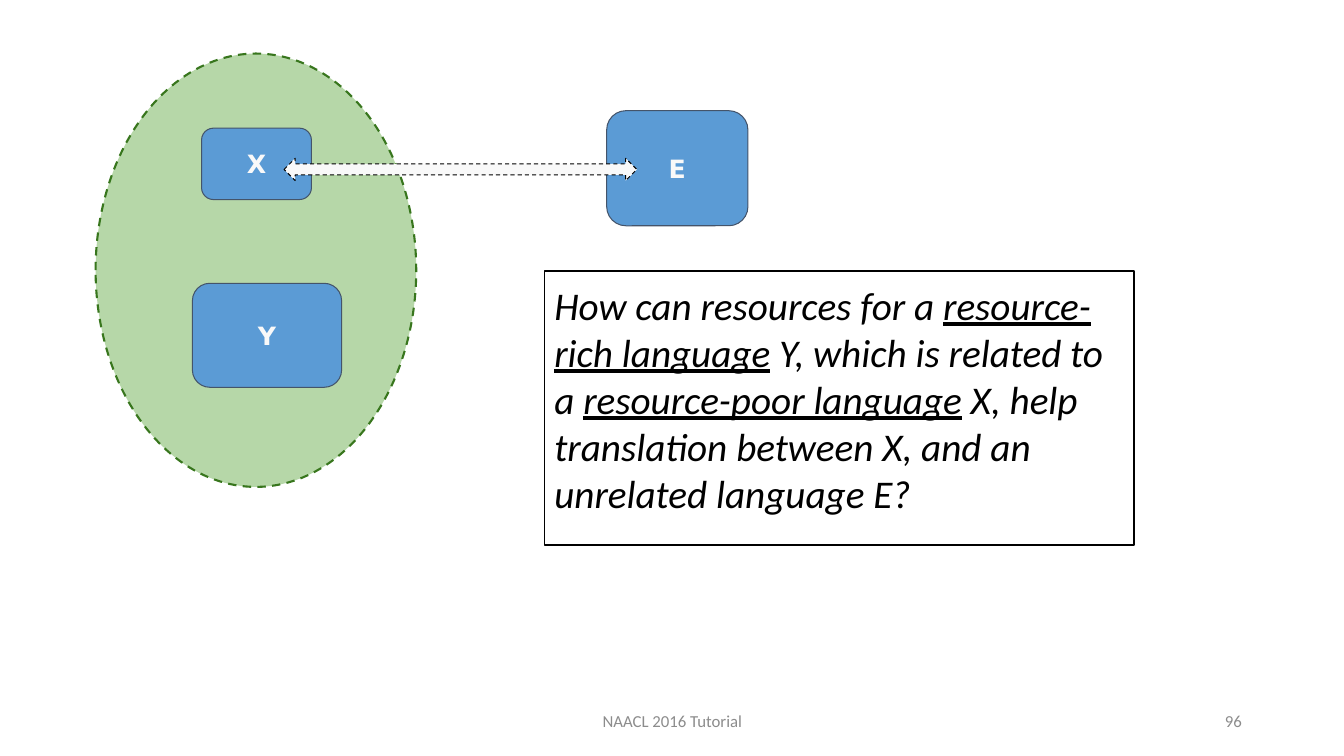
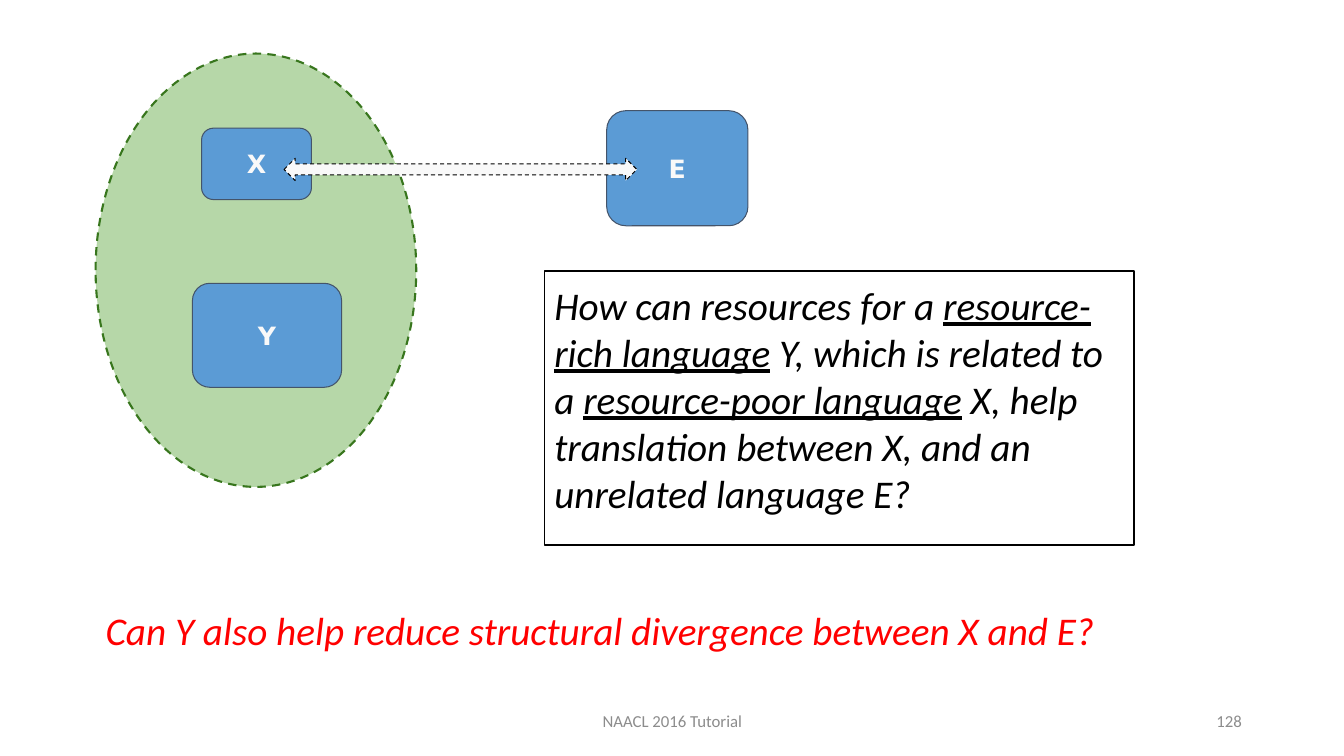
"""Build two slides on translating between related and unrelated languages."""
from dataclasses import dataclass

import pptx
import pptx.dml.color
import pptx.enum.dml
import pptx.enum.shapes
import pptx.enum.text
import pptx.util

Cm = pptx.util.Cm
Pt = pptx.util.Pt
Shape = pptx.enum.shapes.MSO_SHAPE
Align = pptx.enum.text.PP_ALIGN
Anchor = pptx.enum.text.MSO_ANCHOR

SLIDES = [
    {"number": "96", "follow_up": None},
    {
        "number": "128",
        "follow_up": "Can Y also help reduce structural divergence between X and E?",
    },
]
FOOTER = "NAACL 2016 Tutorial"
QUESTION = [
    ("How can resources for a ", False),
    ("resource-rich language", True),
    (" Y, which is related to a ", False),
    ("resource-poor language", True),
    (" X, help translation between X, and an unrelated language E?", False),
]
LANGUAGES = [
    ("X", (5.08, 3.23, 2.77, 1.8)),
    ("Y", (4.85, 7.14, 3.76, 2.62)),
    ("E", (15.29, 2.79, 3.56, 2.9)),
]
FAMILY_AREA = (2.41, 1.35, 8.08, 10.92)
ARROW_AREA = (7.16, 3.99, 8.89, 0.56)
QUESTION_AREA = (13.72, 6.83, 14.86, 6.91)
FOLLOW_UP_AREA = (2.41, 15.16, 28.42, 1.45)
FOOTER_AREA = (11.23, 17.65, 11.43, 1.02)
NUMBER_AREA = (23.93, 17.65, 7.62, 1.02)


@dataclass(frozen=True)
class Theme:
    """Colours, fonts and type sizes of the deck."""
    family: str = "B6D7A8"
    family_line: str = "38761D"
    language: str = "5B9BD5"
    language_line: str = "44546A"
    pale: str = "F9F9F9"
    white: str = "FFFFFF"
    ink: str = "000000"
    accent: str = "FF0000"
    muted: str = "8C8C8C"
    body_font: str = "Calibri"
    label_font: str = "DejaVu Sans"
    body_size: int = 28
    label_size: int = 18
    footer_size: int = 12


THEME = Theme()


def rgb(value):
    """Turn a hex string into a colour."""
    return pptx.dml.color.RGBColor.from_string(value)


def add_shape(shapes, kind, area, fill, line, width, dashed=False):
    """Add a flat preset shape with a fill and an outline."""
    shape = shapes.add_shape(kind, *map(Cm, area))
    shape.shadow.inherit = False
    shape.fill.solid()
    shape.fill.fore_color.rgb = rgb(fill)
    shape.line.color.rgb = rgb(line)
    shape.line.width = Pt(width)
    if dashed:
        shape.line.dash_style = pptx.enum.dml.MSO_LINE.DASH
    return shape


def write(shape, pieces, size, color, font=THEME.body_font, align=Align.LEFT,
          anchor=Anchor.TOP, bold=False, italic=False):
    """Fill a shape with one paragraph of (text, underlined) pieces."""
    frame = shape.text_frame
    frame.word_wrap = True
    frame.vertical_anchor = anchor
    para = frame.paragraphs[0]
    para.alignment = align
    for text, underlined in pieces:
        span = para.add_run()
        span.text = text
        span.font.name = font
        span.font.size = Pt(size)
        span.font.color.rgb = rgb(color)
        span.font.bold = bold
        span.font.italic = italic
        span.font.underline = underlined
    return para


def set_margins(shape, margin):
    """Give a shape the same inner margin on every side."""
    frame = shape.text_frame
    frame.margin_left = frame.margin_right = margin
    frame.margin_top = frame.margin_bottom = margin


def add_diagram(page):
    """Draw the language family, its members and the translation arrow."""
    shapes = page.shapes.add_group_shape().shapes
    add_shape(shapes, Shape.OVAL, FAMILY_AREA, THEME.family,
              THEME.family_line, 1.5, dashed=True)
    for name, area in LANGUAGES:
        box = add_shape(shapes, Shape.ROUNDED_RECTANGLE, area,
                        THEME.language, THEME.language_line, 0.75)
        set_margins(box, Cm(0.25))
        write(box, [(name, False)], THEME.label_size, THEME.pale,
              THEME.label_font, Align.CENTER, Anchor.MIDDLE, bold=True)
    add_shape(shapes, Shape.LEFT_RIGHT_ARROW, ARROW_AREA, THEME.pale,
              THEME.ink, 0.75, dashed=True)


def add_question(page):
    """Add the framed research question."""
    box = add_shape(page.shapes, Shape.RECTANGLE, QUESTION_AREA,
                    THEME.white, THEME.ink, 1)
    set_margins(box, Cm(0.25))
    para = write(box, QUESTION, THEME.body_size, THEME.ink, italic=True)
    para.space_after = Pt(10)


def add_text(page, area, text, size, color, **style):
    """Add a plain text box."""
    box = page.shapes.add_textbox(*map(Cm, area))
    write(box, [(text, False)], size, color, **style)


def add_footer(page, number):
    """Add the footer text and the slide number."""
    for area, text, align in (
        (NUMBER_AREA, number, Align.RIGHT),
        (FOOTER_AREA, FOOTER, Align.CENTER),
    ):
        add_text(page, area, text, THEME.footer_size, THEME.muted,
                 align=align, anchor=Anchor.MIDDLE)


def main():
    """Build and save the deck."""
    deck = pptx.Presentation()
    deck.slide_width, deck.slide_height = Cm(33.87), Cm(19.05)
    blank = deck.slide_layouts.get_by_name("Blank")
    for content in SLIDES:
        page = deck.slides.add_slide(blank)
        add_diagram(page)
        add_question(page)
        if content["follow_up"]:
            add_text(page, FOLLOW_UP_AREA, content["follow_up"],
                     THEME.body_size, THEME.accent, italic=True)
        add_footer(page, content["number"])
    deck.save("out.pptx")


if __name__ == "__main__":
    main()
